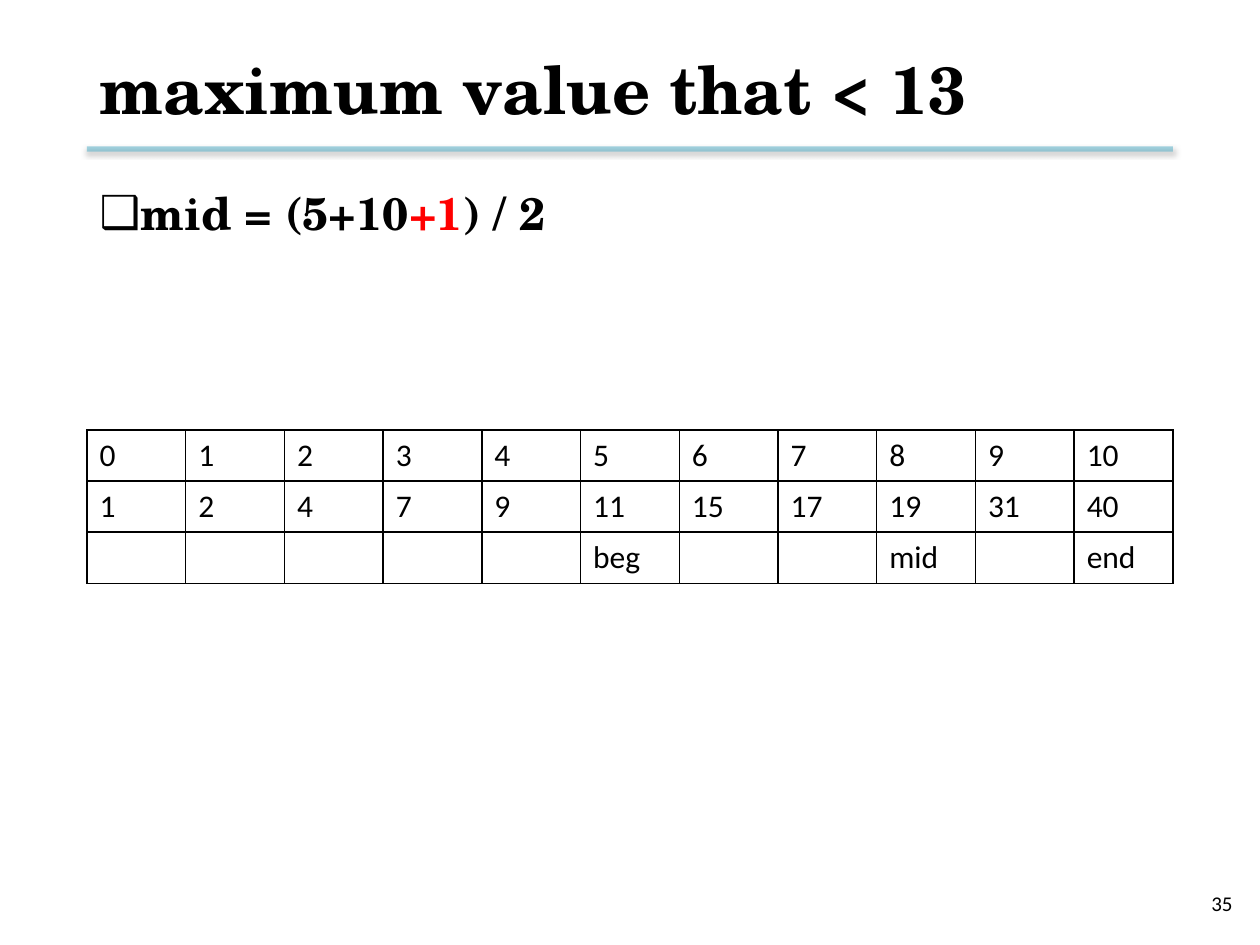
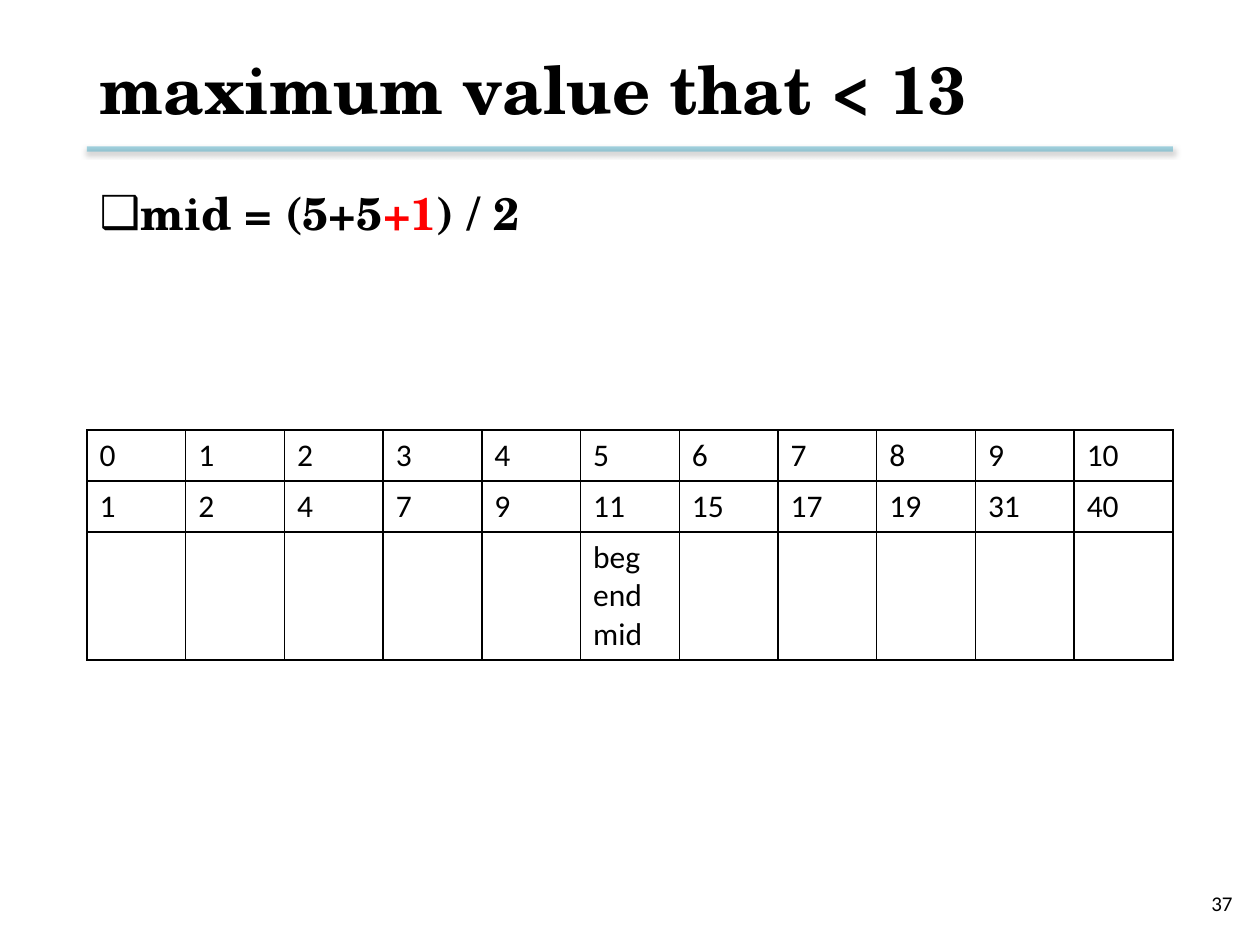
from lxml import etree
from pptx import Presentation
from pptx import util as u
from pptx.dml.color import RGBColor
from pptx.enum import shapes, text
from pptx.oxml import parse_xml
from pptx.oxml.ns import nsdecls, qn

EMU_PER_PX = 914400 / 126
LEFT, WIDTH = 87, 1086
COLORS = {"text": "000000", "accent": "FF0000", "rule": "4BACC6", "shadow": "000000"}
TITLE_FORMAT = {"name": "TeX Gyre Schola", "size": u.Pt(38), "bold": True}
BODY_FORMAT = {"name": "TeX Gyre Schola", "size": u.Pt(26), "bold": True}
CELL_FORMAT = {"name": "Calibri", "size": u.Pt(18), "bold": False}
NUMBER_FORMAT = {"name": "Calibri", "size": u.Pt(12)}

VALUES = [1, 2, 4, 7, 9, 11, 15, 17, 19, 31, 40]
STEPS = [
    {"number": 35, "sum": "5+10", "markers": {5: "beg", 8: "mid", 10: "end"}},
    {"number": 37, "sum": "5+5", "markers": {5: "beg\nend\nmid"}},
]


def px(length):
    return u.Emu(round(length * EMU_PER_PX))


def style(font, formats, color="text"):
    for name, value in formats.items():
        setattr(font, name, value)
    font.color.rgb = RGBColor.from_string(COLORS[color])


def place(shape, left, top, width, height):
    shape.left, shape.top = px(left), px(top)
    shape.width, shape.height = px(width), px(height)


def prepare_frame(frame, anchor):
    frame.word_wrap = True
    frame.auto_size = text.MSO_AUTO_SIZE.NONE
    frame.vertical_anchor = anchor


def add_spans(para, spans, formats):
    for words, color in spans:
        span = para.add_run()
        span.text = words
        style(span.font, formats, color)


def add_title(page, words):
    title = page.shapes.title
    place(title, LEFT, 21, WIDTH, 134)
    prepare_frame(title.text_frame, text.MSO_ANCHOR.MIDDLE)
    para = title.text_frame.paragraphs[0]
    para.alignment = text.PP_ALIGN.LEFT
    add_spans(para, [(words, "text")], TITLE_FORMAT)


def add_rule(page):
    """Draw the translucent line with a soft shadow below the title."""
    rule = page.shapes.add_connector(
        shapes.MSO_CONNECTOR.STRAIGHT, px(LEFT), px(149), px(LEFT + WIDTH), px(149))
    rule.line.width = u.Pt(3)
    rule.line.color.rgb = RGBColor.from_string(COLORS["rule"])
    properties = rule._element.spPr
    color = properties.find(".//" + qn("a:srgbClr"))
    etree.SubElement(color, qn("a:alpha"), val="50000")
    properties.append(parse_xml(
        f'<a:effectLst {nsdecls("a")}><a:outerShdw blurRad="40000" dist="20000" '
        f'dir="5400000" rotWithShape="0"><a:srgbClr val="{COLORS["shadow"]}">'
        '<a:alpha val="38000"/></a:srgbClr></a:outerShdw></a:effectLst>'))


def add_page_number(page, number):
    box = page.shapes.add_textbox(px(951), px(878), px(294), px(50))
    prepare_frame(box.text_frame, text.MSO_ANCHOR.MIDDLE)
    para = box.text_frame.paragraphs[0]
    para.alignment = text.PP_ALIGN.RIGHT
    add_spans(para, [(str(number), "text")], NUMBER_FORMAT)


def add_formula(page, spans):
    body = page.placeholders[1]
    place(body, LEFT, 179, WIDTH, 643)
    prepare_frame(body.text_frame, text.MSO_ANCHOR.TOP)
    para = body.text_frame.paragraphs[0]
    properties = para._p.get_or_add_pPr()
    properties.set("marL", str(u.Inches(0.25)))
    properties.set("indent", str(-u.Inches(0.25)))
    etree.SubElement(properties, qn("a:buChar"), char="❑")
    para.space_before = u.Pt(0)
    add_spans(para, spans, BODY_FORMAT)


def add_borders(cell):
    properties = cell._tc.get_or_add_tcPr()
    for side in ("lnL", "lnR", "lnT", "lnB"):
        properties.append(parse_xml(
            f'<a:{side} {nsdecls("a")} w="{u.Pt(1)}"><a:solidFill>'
            f'<a:srgbClr val="{COLORS["text"]}"/></a:solidFill></a:{side}>'))


def add_search_table(page, markers):
    """Show each index, its value and the search markers below it."""
    columns = range(len(VALUES))
    rows = [columns, VALUES, [markers.get(index, "") for index in columns]]
    heights = [13 + 38 * max(str(value).count("\n") + 1 for value in row) for row in rows]
    table = page.shapes.add_table(
        len(rows), len(VALUES), px(LEFT), px(430), px(WIDTH), px(sum(heights))).table
    table.first_row = table.horz_banding = False
    for column in table.columns:
        column.width = px(WIDTH / len(VALUES))
    for row_index, row in enumerate(rows):
        table.rows[row_index].height = px(heights[row_index])
        for column_index, value in enumerate(row):
            cell = table.cell(row_index, column_index)
            cell.text = str(value)
            add_borders(cell)
            cell.fill.background()
            for para in cell.text_frame.paragraphs:
                style(para.font, CELL_FORMAT)
                for span in para.runs:
                    style(span.font, CELL_FORMAT)


def add_step(deck, step):
    page = deck.slides.add_slide(deck.slide_layouts[1])
    add_rule(page)
    add_page_number(page, step["number"])
    add_title(page, "maximum value that < 13")
    add_search_table(page, step["markers"])
    add_formula(page, [(f"mid = ({step['sum']}", "text"), ("+1", "accent"), (") / 2", "text")])


def main():
    deck = Presentation()
    deck.slide_width, deck.slide_height = px(1260), px(945)
    for step in STEPS:
        add_step(deck, step)
    deck.save("out.pptx")


if __name__ == "__main__":
    main()
